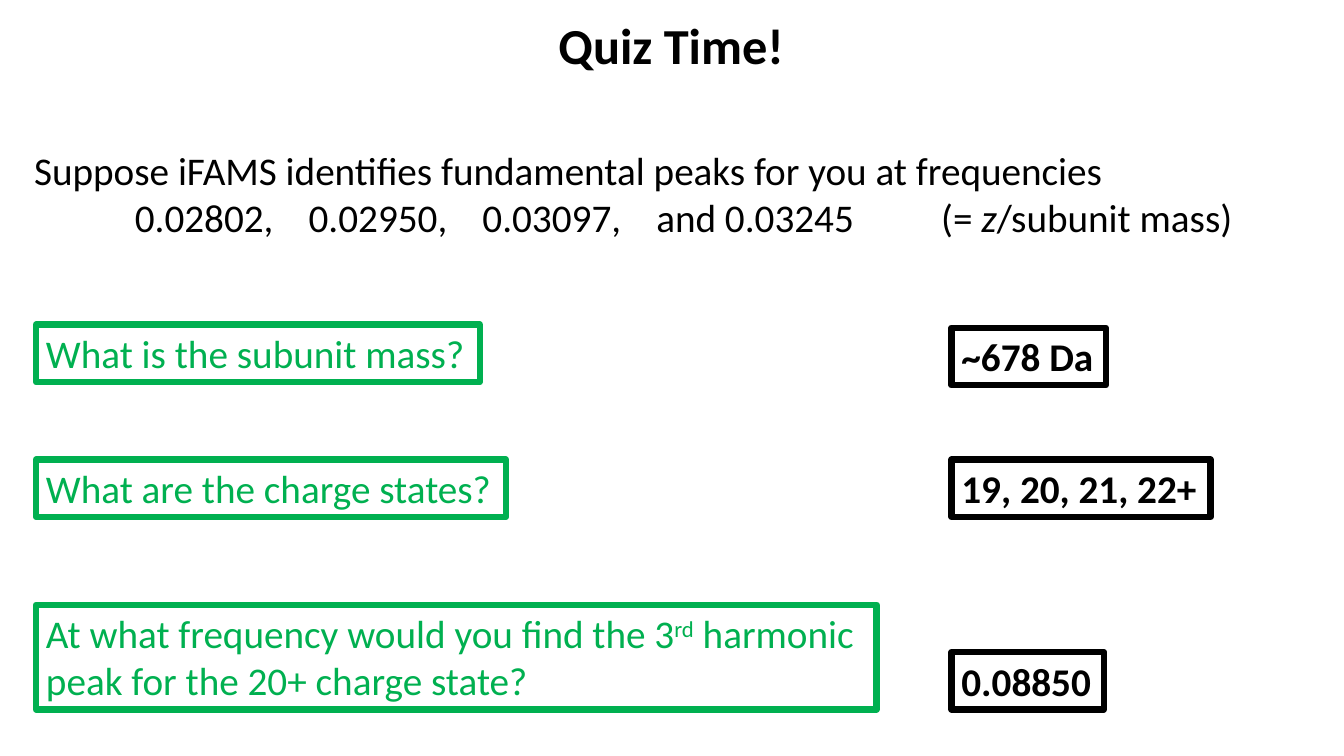
from lxml.etree import SubElement
from pptx import Presentation
from pptx.dml.color import RGBColor
from pptx.enum.shapes import MSO_SHAPE
from pptx.enum.text import MSO_ANCHOR, PP_ALIGN
from pptx.oxml.ns import qn
from pptx.util import Cm, Pt

BLACK, GREEN = "000000", "00B050"
LINE_HEIGHT, PADDING = 1.19, 0.26
QUESTION_LEFT, ANSWER_LEFT = 0.91, 23.98
FREQUENCIES = ["0.02802,", "0.02950,", "0.03097,", "and 0.03245"]
FREQUENCY_LEFT, FREQUENCY_STEP, FORMULA_LEFT = 2.54, 4.38, 22.86

# Question lines, top, width; answer, top, width
QUIZ = [
    ([["What is the subunit mass?"]], 8.18, 11.18, "~678 Da", 8.26, 3.89),
    ([["What are the charge states?"]], 11.58, 11.84, "19, 20, 21, 22+", 11.58, 6.53),
    ([["At what frequency would you find the 3", ("rd", "super"), " harmonic"],
      ["peak for the 20+ charge state?"]], 15.24, 21.18, "0.08850", 16.43, 3.84),
]


def color(value):
    return RGBColor.from_string(value)


def write(shape, lines, ink=BLACK, size=28, bold=False, align=PP_ALIGN.LEFT, wrap=False):
    """Fill a shape with lines; each line lists plain strings or (text, style) pairs."""
    frame = shape.text_frame
    frame.word_wrap = wrap
    frame.vertical_anchor = MSO_ANCHOR.TOP
    for index, line in enumerate(lines):
        para = frame.add_paragraph() if index else frame.paragraphs[0]
        para.alignment = align
        for part in line:
            text, style = (part, None) if isinstance(part, str) else part
            span = para.add_run()
            span.text = text
            font = span.font
            font.name, font.size, font.bold = "Calibri", Pt(size), bold
            font.color.rgb = color(ink)
            if style == "italic":
                font.italic = True
            elif style == "super":
                span._r.get_or_add_rPr().set("baseline", "30000")
    return frame


def add_title(page, left, top, width, height):
    box = page.shapes.add_textbox(Cm(left), Cm(top), Cm(width), Cm(height))
    write(box, [["Quiz Time!"]], size=36, bold=True, align=PP_ALIGN.CENTER)


def add_problem(page, left, top, width, height):
    box = page.shapes.add_textbox(Cm(left), Cm(top), Cm(width), Cm(height))
    numbers = "".join("\t" + frequency for frequency in FREQUENCIES)
    frame = write(box, [
        ["Suppose iFAMS identifies fundamental peaks for you at frequencies"],
        [numbers + "\t(= ", ("z", "italic"), "/subunit mass)"],
    ], wrap=True)
    stops = [FREQUENCY_LEFT + FREQUENCY_STEP * i for i in range(len(FREQUENCIES))]
    tabs = SubElement(frame.paragraphs[1]._p.get_or_add_pPr(), qn("a:tabLst"))
    for stop in stops + [FORMULA_LEFT]:
        SubElement(tabs, qn("a:tab"), pos=str(int(Cm(stop))), algn="l")


def add_framed(page, left, top, width, lines, ink, bold=False):
    height = LINE_HEIGHT * len(lines) + PADDING
    box = page.shapes.add_shape(MSO_SHAPE.RECTANGLE, Cm(left), Cm(top), Cm(width), Cm(height))
    box.shadow.inherit = False
    box.fill.background()
    box.line.color.rgb = color(ink)
    box.line.width = Pt(4.5)
    write(box, lines, ink, bold=bold)


def add_quiz(page, question_left, answer_left):
    for question, top, width, answer, answer_top, answer_width in QUIZ:
        add_framed(page, question_left, top, width, question, GREEN)
        add_framed(page, answer_left, answer_top, answer_width, [[answer]], BLACK, bold=True)


def main():
    deck = Presentation()
    deck.slide_width, deck.slide_height = Cm(33.87), Cm(19.05)
    page = deck.slides.add_slide(deck.slide_layouts[6])
    add_title(page, 13.79, 0.23, 6.25, 1.8)
    add_problem(page, 0.61, 3.56, 31.04, 2.64)
    add_quiz(page, QUESTION_LEFT, ANSWER_LEFT)
    deck.save("out.pptx")


if __name__ == "__main__":
    main()
